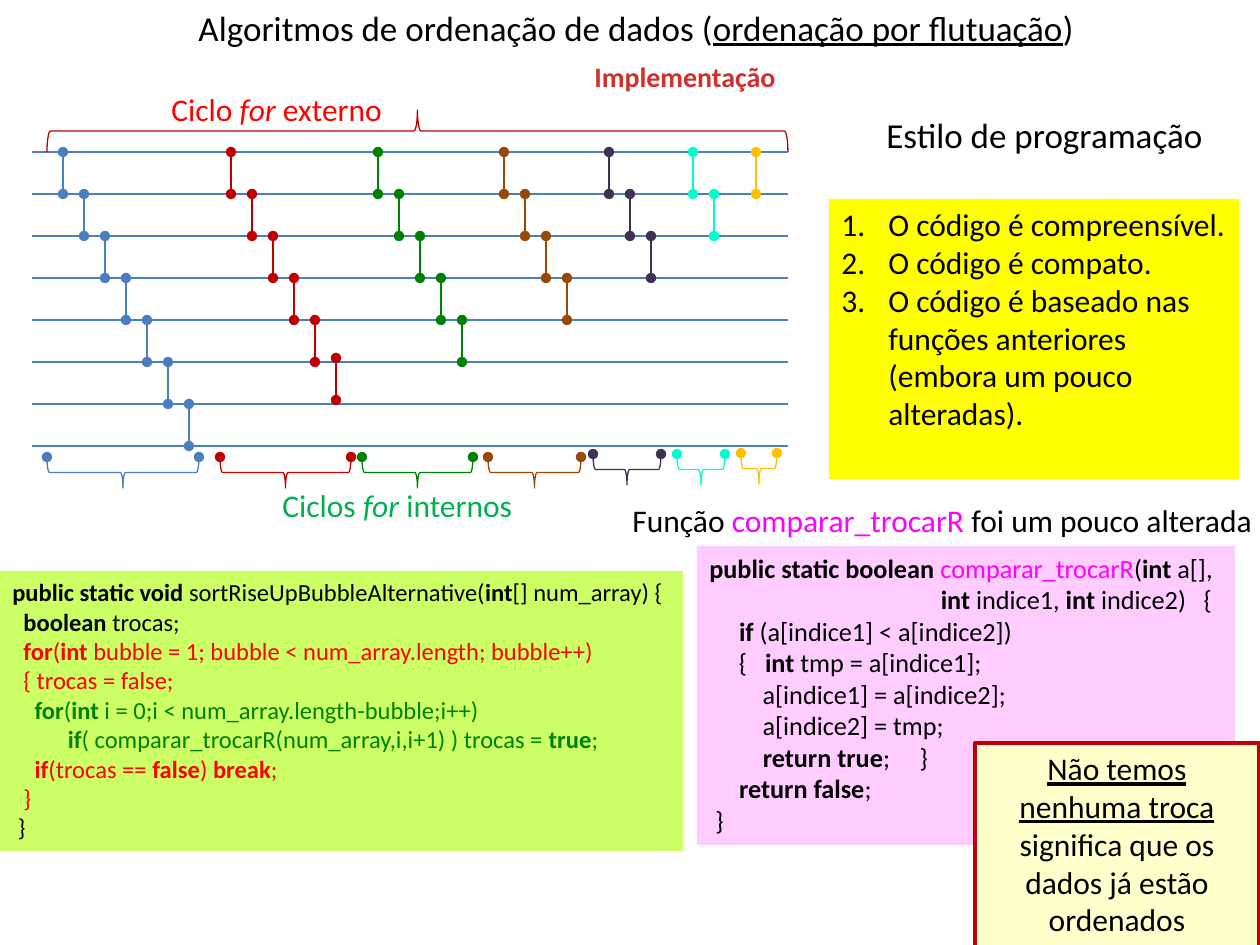
from lxml import etree
from pptx import Presentation
from pptx.dml.color import RGBColor
from pptx.enum.shapes import MSO_CONNECTOR, MSO_SHAPE
from pptx.enum.text import MSO_ANCHOR, MSO_AUTO_SIZE, PP_ALIGN
from pptx.oxml.ns import qn
from pptx.util import Pt

PX = 914400 // 126
LEFT, CENTER = PP_ALIGN.LEFT, PP_ALIGN.CENTER
LEFT_BRACE, RIGHT_BRACE = MSO_SHAPE.LEFT_BRACE, MSO_SHAPE.RIGHT_BRACE
BLUE, DARK_RED, GREEN = "4B7EBC", "C00000", "008000"
BLACK, RED, MAGENTA = "000000", "FF0000", "FF00FF"

# Text marks: *...* carries the emphasis of its box, ~...~ is magenta.
TITLE = [(BLACK, "Algoritmos de ordenação de dados (*ordenação por flutuação*)")]
SUBTITLE = [("D02F2C", "*Implementação*")]
OUTER_LABEL = [(RED, "Ciclo *for* externo")]
INNER_LABEL = [("00B050", "Ciclos *for* internos")]
SORT_CODE = [
    (BLACK, "*public static void *sortRiseUpBubbleAlternative(*int*[] num_array) {"),
    (BLACK, "  *boolean *trocas;"),
    (RED, "  *for*(*int* bubble = 1; bubble < num_array.length; bubble++)"),
    (RED, "  { trocas = false;"),
    (GREEN, "    *for*(*int *i = 0;i < num_array.length-bubble;i++)"),
    (GREEN, "          *if*( comparar_trocarR(num_array,i,i+1) ) trocas =* true*;"),
    (RED, "    *if*(trocas == *false*) *break*;"),
    (RED, "  }"),
    (BLACK, " }"),
]
SWAP_CODE = [(BLACK, line) for line in (
    "*public static boolean *~comparar_trocarR~(*int *a[],",
    "                                       *int *indice1, *int* indice2)   {",
    "     *if* (a[indice1] < a[indice2])",
    "     {   *int *tmp = a[indice1];",
    "         a[indice1] = a[indice2];",
    "         a[indice2] = tmp;",
    "         *return true*;     }",
    "     *return false*;",
    " }",
)]
SWAP_LABEL = [(BLACK, "Função ~comparar_trocarR~ foi um pouco alterada")]
STYLE_TITLE = [(BLACK, "Estilo de programação")]
STYLE_POINTS = [
    (BLACK, "O código é compreensível."),
    (BLACK, "O código é compato."),
    (BLACK, "O código é baseado nas funções anteriores (embora um pouco alteradas)."),
]
NOTE = [(BLACK, "*Não temos nenhuma troca* significa que os dados já estão ordenados")]

# Sorting passes: colour, then left, top and width of the brace below
PASSES = [
    (BLUE, 47, 457, 152),
    (DARK_RED, 220, 457, 131),
    (GREEN, 362, 457, 111),
    ("984807", 488, 457, 93),
    ("403152", 593, 454, 68),
    ("00FFCC", 677, 454, 48),
    ("FFC000", 741, 453, 36),
]
WIRE_LEFT, WIRE_RIGHT, WIRE_TOP = 32, 788, 152
ROW, STEP = 42, 21
FIRST_BAR = 63
BAR_SHIFT = {(1, 5): -4}

prs = Presentation()
prs.slide_width, prs.slide_height = 1260 * PX, 945 * PX
s = prs.slides.add_slide(prs.slide_layouts[6])


def rgb(value):
    return RGBColor.from_string(value)


def style_line(sp, color, width=0.75, dots=False):
    sp.line.color.rgb = rgb(color)
    sp.line.width = Pt(width)
    if dots:
        ln = sp.line._get_or_add_ln()
        for end in ("a:headEnd", "a:tailEnd"):
            etree.SubElement(ln, qn(end), type="oval")


def add_line(x1, y1, x2, y2, color, dots=False):
    sp = s.shapes.add_connector(MSO_CONNECTOR.STRAIGHT, x1 * PX, y1 * PX, x2 * PX, y2 * PX)
    style_line(sp, color, dots=dots)
    etree.SubElement(sp._element.spPr, qn("a:effectLst"))


def add_brace(kind, x, y, w, h, color, dots=False):
    """Lay a brace on its side so that it covers x, y, w, h as seen."""
    left, top = x + (w - h) / 2, y + (h - w) / 2
    sp = s.shapes.add_shape(kind, int(left * PX), int(top * PX), h * PX, w * PX)
    sp.rotation = 270
    sp.shadow.inherit = False
    sp.fill.background()
    style_line(sp, color, dots=dots)


def add_runs(p, text, color, size, emphasis):
    for i, part in enumerate(text.split("*")):
        for j, piece in enumerate(part.split("~")):
            if not piece:
                continue
            r = p.add_run()
            r.text = piece
            formats = {"name": "Calibri", "size": Pt(size)}
            if i % 2:
                formats[emphasis] = True
            for name, value in formats.items():
                setattr(r.font, name, value)
            r.font.color.rgb = rgb(MAGENTA if j % 2 else color)


def add_text(box, lines, size, emphasis="bold", align=LEFT, wrap=False,
             fill=None, border=None, numbered=False):
    sp = s.shapes.add_textbox(*(v * PX for v in box))
    if fill:
        sp.fill.solid()
        sp.fill.fore_color.rgb = rgb(fill)
    if border:
        style_line(sp, border, 2.25)
    tf = sp.text_frame
    tf.word_wrap = wrap
    tf.auto_size = MSO_AUTO_SIZE.SHAPE_TO_FIT_TEXT
    tf.vertical_anchor = MSO_ANCHOR.TOP
    for i, (color, text) in enumerate(lines):
        p = tf.add_paragraph() if i else tf.paragraphs[0]
        p.alignment = align
        if numbered:
            pPr = p._p.get_or_add_pPr()
            pPr.set("marL", str(47 * PX))
            pPr.set("indent", str(-47 * PX))
            etree.SubElement(pPr, qn("a:buFont"), typeface="+mj-lt")
            etree.SubElement(pPr, qn("a:buAutoNum"), type="arabicPeriod")
        add_runs(p, text, color, size, emphasis)


add_text((147, 0, 978, 55), TITLE, 20, "underline", CENTER, wrap=True)
add_text((581, 53, 208, 47), SUBTITLE, 16, align=CENTER)

# Sorting network
for row in range(len(PASSES) + 1):
    y = WIRE_TOP + row * ROW
    add_line(WIRE_LEFT, y, WIRE_RIGHT, y, BLUE)
x = FIRST_BAR
for n, (color, brace_x, brace_y, brace_w) in enumerate(PASSES):
    bars = len(PASSES) - n
    for k in range(bars):
        y = WIRE_TOP + k * ROW + BAR_SHIFT.get((n, k), 0)
        add_line(x + k * STEP, y, x + k * STEP, y + ROW, color, dots=True)
    add_brace(LEFT_BRACE, brace_x, brace_y, brace_w, 31, color, dots=True)
    x += (bars + 1) * STEP
add_brace(RIGHT_BRACE, 47, 110, 741, 42, DARK_RED)
add_text((159, 84, 238, 50), OUTER_LABEL, 18, "italic")
add_text((270, 480, 258, 50), INNER_LABEL, 18, "italic")

add_text((0, 571, 683, 280), SORT_CODE, 14, fill="CCFF66")
add_text((697, 546, 538, 299), SWAP_CODE, 15, fill="FFCCFF")
add_text((620, 495, 651, 50), SWAP_LABEL, 18)
add_text((872, 107, 345, 55), STYLE_TITLE, 20, align=CENTER)
add_text((829, 199, 410, 280), STYLE_POINTS, 18, wrap=True, fill="FFFF00", numbered=True)
add_text((975, 743, 284, 204), NOTE, 18, "underline", CENTER, wrap=True,
         fill="FFFFCC", border=DARK_RED)

prs.save("out.pptx")
